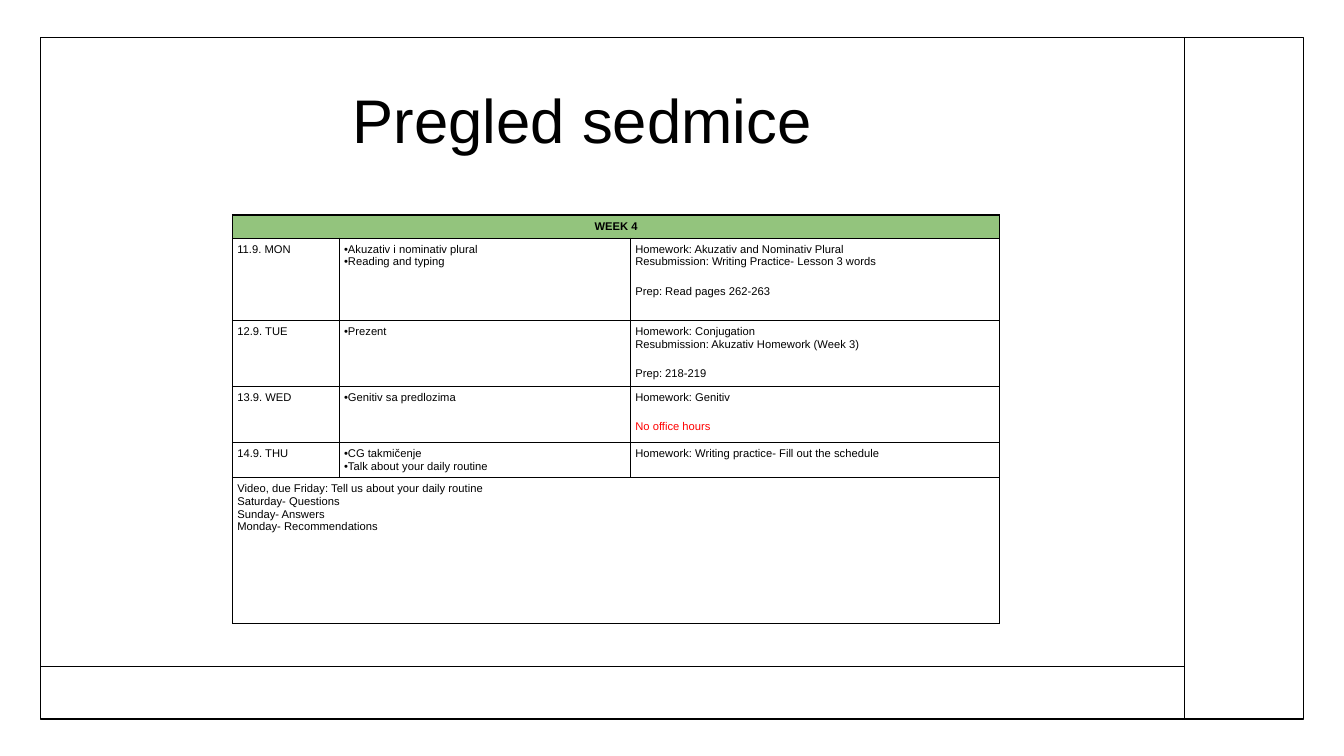
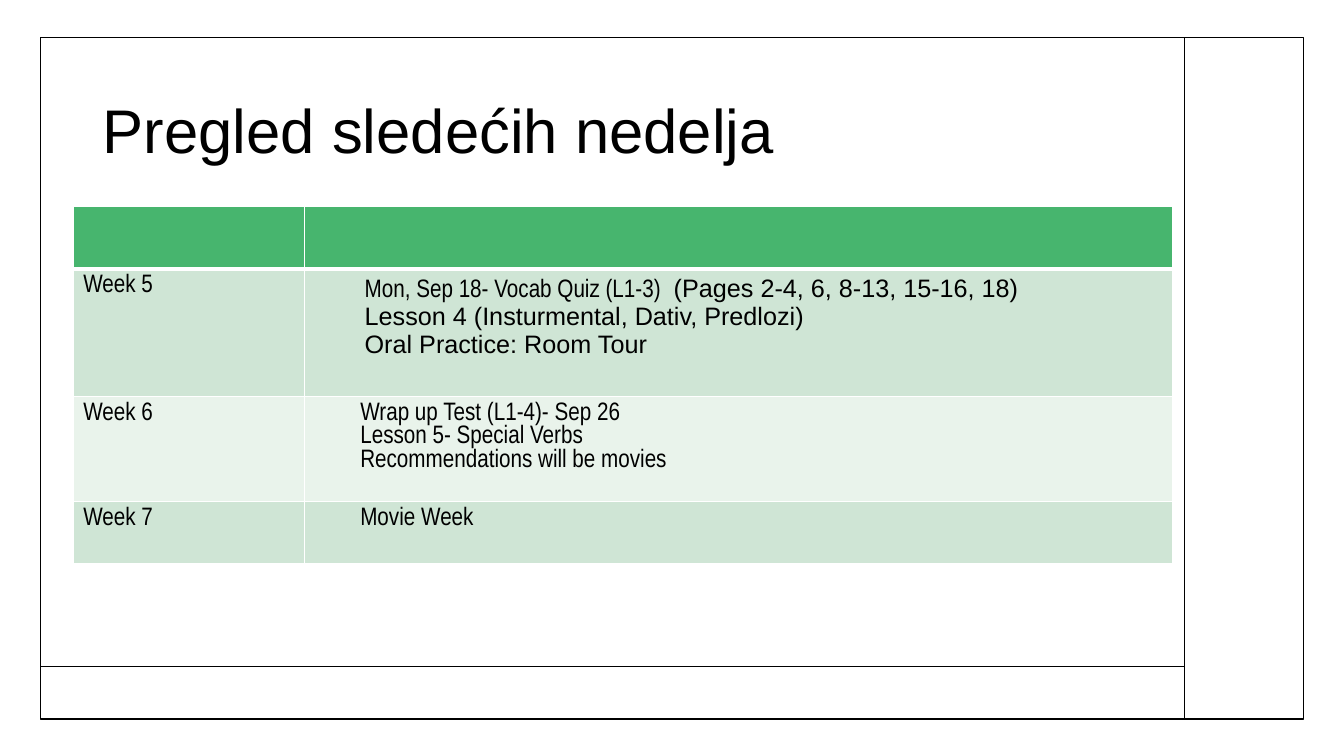
from dataclasses import dataclass

from lxml.etree import SubElement
from pptx import Presentation
from pptx.dml.color import RGBColor
from pptx.enum.shapes import MSO_CONNECTOR as Connector, MSO_SHAPE as Preset
from pptx.enum.text import MSO_ANCHOR as Anchor, MSO_AUTO_SIZE as AutoSize, PP_ALIGN as Align
from pptx.oxml.ns import qn
from pptx.slide import Slide, SlideLayout
from pptx.table import _Cell as Cell
from pptx.text.text import _Paragraph as Paragraph
from pptx.util import Cm, Pt


@dataclass(frozen=True)
class Theme:
    """Colours, fonts and type sizes of the whole presentation."""

    black: str = "000000"
    white: str = "FFFFFF"
    red: str = "FF0000"
    week_green: str = "93C47D"
    header_green: str = "47B56E"
    dark_band: str = "CFE5D5"
    light_band: str = "E9F3EB"
    font: str = "Arial"
    narrow_font: str = "Arial Narrow"
    title_size: float = 44
    schedule_size: float = 8
    overview_size: float = 18
    line_width: float = 1
    header_line_width: float = 3


THEME = Theme()


@dataclass(frozen=True)
class Line:
    """One paragraph of a table cell; the tail is a second run in the main font."""

    text: str
    font: str = THEME.font
    color: str = THEME.black
    bold: bool = False
    bullet: bool = False
    centered: bool = False
    indent: float = 0
    space_before: float = 0
    tail: str = ""


@dataclass(frozen=True)
class CellContent:
    """Lines and fill of one cell, with the number of columns it spans."""

    lines: tuple[Line, ...] = ()
    fill: str | None = None
    span: int = 1
    bottom_width: float = THEME.line_width


@dataclass(frozen=True)
class TableSpec:
    """Place, grid (in centimetres) and content of a table."""

    left: float
    top: float
    columns: tuple[float, ...]
    rows: tuple[float, ...]
    cells: tuple[tuple[CellContent, ...], ...]
    size: float
    border: str
    margin: tuple[float, float]


@dataclass(frozen=True)
class SlideSpec:
    """Title, its position and the table of a slide."""

    title: str
    title_left: float
    title_top: float
    table: TableSpec


def color(value: str) -> RGBColor:
    """Turn a hexadecimal value into a colour."""
    return RGBColor.from_string(value)


def add_frame(slide: Slide, layout: SlideLayout) -> None:
    """Draw the shared frame and move it to the layout."""
    left, top, width, height = 1.02, 0.94, 31.83, 17.18
    divider, footer_top = 29.85, 16.79
    frame = slide.shapes.add_shape(
        Preset.RECTANGLE, Cm(left), Cm(top), Cm(width), Cm(height))
    frame.shadow.inherit = False
    frame.fill.background()
    parts = [frame]
    for ends in ((divider, top, divider, top + height),
                 (left, footer_top, divider, footer_top)):
        rule = slide.shapes.add_connector(
            Connector.STRAIGHT, *(Cm(value) for value in ends))
        parts.append(rule)
    for number, part in enumerate(parts, start=101):
        part.line.color.rgb = color(THEME.black)
        part.line.width = Pt(THEME.line_width)
        if part is not frame:
            SubElement(part.element.spPr, qn("a:effectLst"))
        part.element.xpath(".//p:cNvPr")[0].set("id", str(number))
        layout.shapes.element.append(part.element)


def write_title(slide: Slide, spec: SlideSpec) -> None:
    """Place, fill and format the title placeholder."""
    title = slide.shapes.title
    title.left, title.top = Cm(spec.title_left), Cm(spec.title_top)
    title.width, title.height = Cm(26.37), Cm(3.68)
    frame = title.text_frame
    frame.text = spec.title
    frame.word_wrap = True
    frame.auto_size = AutoSize.NONE
    frame.vertical_anchor = Anchor.MIDDLE
    paragraph = frame.paragraphs[0]
    paragraph.alignment = Align.LEFT
    paragraph.line_spacing = 0.9
    paragraph.font.name = THEME.font
    paragraph.font.size = Pt(THEME.title_size)
    paragraph.font.color.rgb = color(THEME.black)


def write_line(paragraph: Paragraph, line: Line, size: float) -> None:
    """Write and format one paragraph of a cell."""
    paragraph.alignment = Align.CENTER if line.centered else Align.LEFT
    paragraph.space_before = Pt(line.space_before)
    properties = paragraph._p.get_or_add_pPr()
    properties.set("marL", str(Cm(line.indent)))
    properties.set("indent", "0")
    if line.bullet:
        SubElement(properties, qn("a:buFont")).set("typeface", THEME.font)
        SubElement(properties, qn("a:buChar")).set("char", "•")
    paragraph.font.size = Pt(size)
    paragraph.font.bold = line.bold
    paragraph.font.color.rgb = color(line.color)
    run = paragraph.add_run()
    run.text = line.text
    if line.tail:
        tail = paragraph.add_run()
        tail.text = line.tail
        run.font.name, tail.font.name = line.font, THEME.font
    else:
        paragraph.font.name = line.font


def set_borders(cell: Cell, border: str, widths: dict[str, float]) -> None:
    """Give each named side of a cell a solid line."""
    properties = cell._tc.get_or_add_tcPr()
    for side, width in widths.items():
        edge = SubElement(properties, qn(f"a:ln{side}"), w=str(Pt(width)))
        fill = SubElement(edge, qn("a:solidFill"))
        SubElement(fill, qn("a:srgbClr"), val=border)


def write_cell(cell: Cell, content: CellContent, spec: TableSpec) -> None:
    """Fill a cell with its lines and format it."""
    horizontal, vertical = spec.margin
    cell.margin_left = cell.margin_right = Cm(horizontal)
    cell.margin_top = cell.margin_bottom = Cm(vertical)
    if content.fill:
        cell.fill.solid()
        cell.fill.fore_color.rgb = color(content.fill)
    else:
        cell.fill.background()
    frame = cell.text_frame
    for index, line in enumerate(content.lines):
        paragraph = frame.add_paragraph() if index else frame.paragraphs[0]
        write_line(paragraph, line, spec.size)


def add_schedule(slide: Slide, spec: TableSpec) -> None:
    """Add a table with its grid, borders and content."""
    table = slide.shapes.add_table(
        len(spec.rows), len(spec.columns), Cm(spec.left), Cm(spec.top),
        Cm(sum(spec.columns)), Cm(sum(spec.rows))).table
    table.first_row = table.horz_banding = False
    for column, width in zip(table.columns, spec.columns):
        column.width = Cm(width)
    for row, height in zip(table.rows, spec.rows):
        row.height = Cm(height)
    for row_index, contents in enumerate(spec.cells):
        column_index = 0
        above = spec.cells[row_index - 1][0].bottom_width if row_index else THEME.line_width
        for content in contents:
            last = column_index + content.span
            cell = table.cell(row_index, column_index)
            widths = {"L": THEME.line_width, "R": THEME.line_width,
                      "T": above, "B": content.bottom_width}
            for position in range(column_index, last):
                set_borders(table.cell(row_index, position), spec.border, widths)
            if content.span > 1:
                cell.merge(table.cell(row_index, last - 1))
            write_cell(cell, content, spec)
            column_index = last


def day(date: str, topics: tuple[str, ...], tasks: tuple[Line, ...]) -> tuple[CellContent, ...]:
    """Build the row of one class day."""
    bullets = tuple(Line(topic, bullet=True) for topic in topics)
    return CellContent((Line(date),)), CellContent(bullets), CellContent(tasks)


def week(name: str, fill: str, plans: tuple[Line, ...]) -> tuple[CellContent, ...]:
    """Build the row of one coming week."""
    return (CellContent((Line(name, THEME.narrow_font),), fill),
            CellContent(plans, fill))


def note(text: str, text_color: str = THEME.black) -> Line:
    """Build a line set apart from the homework above it."""
    return Line(text, color=text_color, space_before=12.2)


def plan(text: str) -> Line:
    """Build an indented line in the narrow font."""
    return Line(text, THEME.narrow_font, indent=1.16)


WEEK_TABLE = TableSpec(
    left=5.86, top=5.42, columns=(2.69, 7.34, 9.3),
    rows=(0.58, 2.08, 1.65, 1.42, 0.89, 3.68),
    size=THEME.schedule_size, border=THEME.black, margin=(0.12, 0.12),
    cells=(
        (CellContent((Line("WEEK 4", bold=True, centered=True),), THEME.week_green, 3),),
        day("11.9. MON", ("Akuzativ i nominativ plural", "Reading and typing"),
            (Line("Homework: Akuzativ and Nominativ Plural"),
             Line("Resubmission: Writing Practice- Lesson 3 words"),
             note("Prep: Read pages 262-263"))),
        day("12.9. TUE", ("Prezent",),
            (Line("Homework: Conjugation"),
             Line("Resubmission: Akuzativ Homework (Week 3)"),
             note("Prep: 218-219"))),
        day("13.9. WED", ("Genitiv sa predlozima",),
            (Line("Homework: Genitiv"), note("No office hours", THEME.red))),
        day("14.9. THU", ("CG takmičenje", "Talk about your daily routine"),
            (Line("Homework: Writing practice- Fill out the schedule"),)),
        (CellContent((Line("Video, due Friday: Tell us about your daily routine"),
                      Line("Saturday- Questions"),
                      Line("Sunday- Answers"),
                      Line("Monday- Recommendations")), span=3),),
    ))

HEADER = CellContent(fill=THEME.header_green, bottom_width=THEME.header_line_width)
COMING_WEEKS_TABLE = TableSpec(
    left=1.85, top=5.21, columns=(5.82, 21.87), rows=(1.57, 3.22, 2.64, 1.57),
    size=THEME.overview_size, border=THEME.white, margin=(0.25, 0.13),
    cells=(
        (HEADER, HEADER),
        week("Week 5", THEME.dark_band,
             (Line("Mon, Sep 18- Vocab Quiz (L1-3) ", THEME.narrow_font, indent=1.27,
                   tail="\u00a0(Pages 2-4, 6, 8-13, 15-16, 18)"),
              Line("Lesson 4 (Insturmental, Dativ, Predlozi)", indent=1.27),
              Line("Oral Practice: Room Tour", indent=1.27))),
        week("Week 6", THEME.light_band,
             (plan("Wrap up Test (L1-4)- Sep 26"),
              plan("Lesson 5- Special Verbs"),
              plan("Recommendations will be movies"))),
        week("Week 7", THEME.dark_band, (plan("Movie Week"),)),
    ))

SLIDES = (
    SlideSpec("Pregled sedmice", 8.64, 1.27, WEEK_TABLE),
    SlideSpec("Pregled sledećih nedelja", 2.34, 1.52, COMING_WEEKS_TABLE),
)


def main() -> None:
    """Build and save the presentation."""
    presentation = Presentation()
    presentation.slide_width, presentation.slide_height = Cm(33.87), Cm(19.05)
    layout = presentation.slide_layouts.get_by_name("Title Only")
    for index, spec in enumerate(SLIDES):
        slide = presentation.slides.add_slide(layout)
        if index == 0:
            add_frame(slide, layout)
        write_title(slide, spec)
        add_schedule(slide, spec.table)
    presentation.save("out.pptx")


main()
